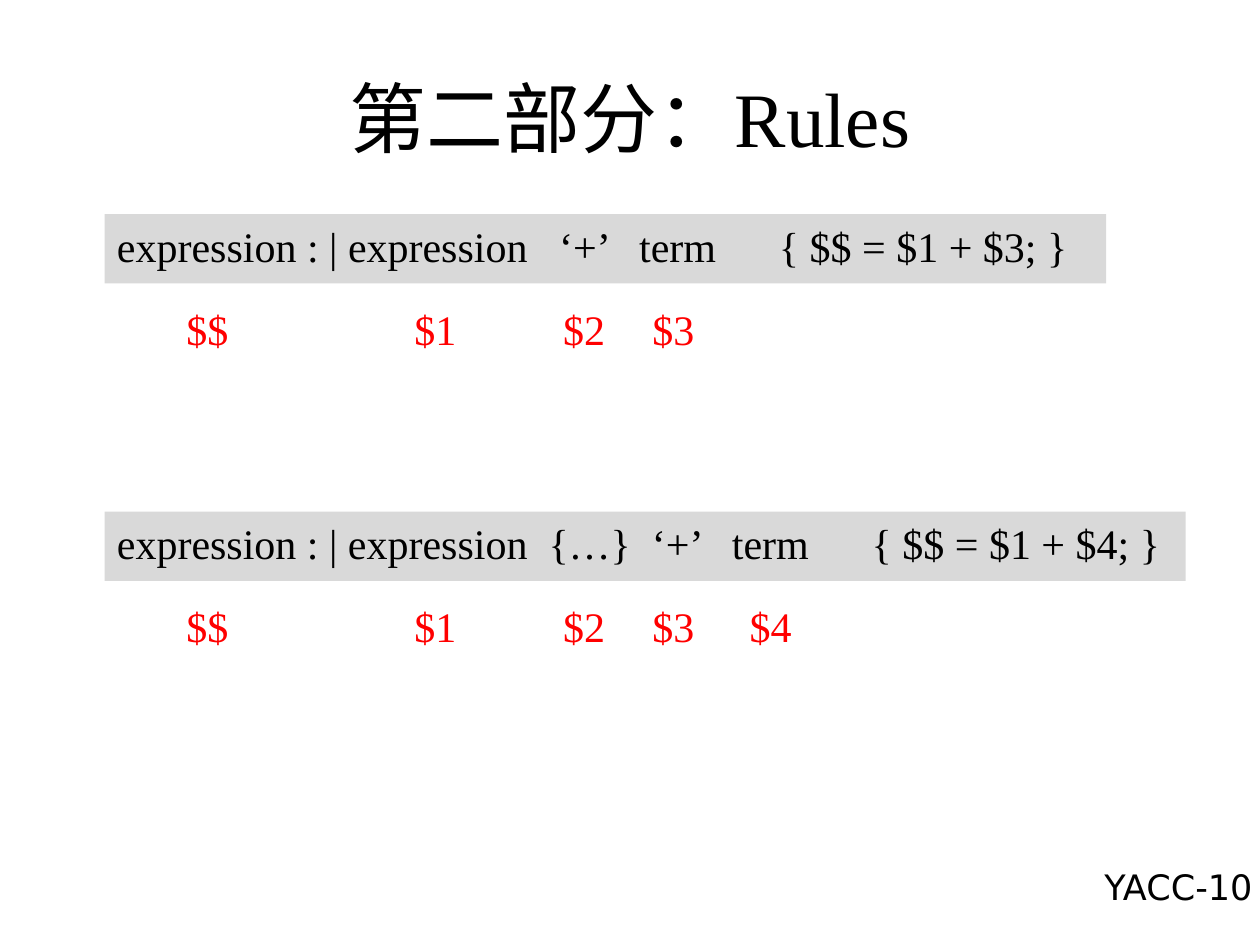
import pptx
import pptx.dml.color
import pptx.enum.shapes
import pptx.enum.text
import pptx.util

Inches = pptx.util.Inches
Align = pptx.enum.text.PP_ALIGN
Anchor = pptx.enum.text.MSO_ANCHOR

SERIF = "Times New Roman"
SANS = "DejaVu Sans"
BLACK, RED, GRAY = "000000", "FF0000", "D9D9D9"

# Content: each rule with its bar width and the value symbols under it
TITLE = "第二部分：Rules"
PAGE_LABEL = "YACC-10"
RULES = [
    {
        "code": "expression : | expression   ‘+’   term      { $$ = $1 + $3; }",
        "top": 1.7,
        "bar_width": 7.95,
        "text_width": 7.95,
        "symbols": ["$$", "$1", "$2", "$3"],
    },
    {
        "code": "expression : | expression  {…}  ‘+’   term      { $$ = $1 + $4; }",
        "top": 4.06,
        "bar_width": 8.58,
        "text_width": 8.67,
        "symbols": ["$$", "$1", "$2", "$3", "$4"],
    },
]

# Layout
RULE_LEFT = 0.83
BAR_HEIGHT = 0.55
TEXT_HEIGHT = 0.5
SYMBOL_WIDTH = 0.55
SYMBOL_DROP = 0.66
SYMBOL_LEFTS = [1.38, 3.19, 4.37, 5.08, 5.85]


def color(hex_value):
    return pptx.dml.color.RGBColor.from_string(hex_value)


def add_text(slide, text, left, top, width, height, size=24, font=SERIF,
             fill=BLACK, align=Align.LEFT, anchor=Anchor.TOP, wrap=True):
    box = slide.shapes.add_textbox(
        Inches(left), Inches(top), Inches(width), Inches(height))
    frame = box.text_frame
    frame.word_wrap = wrap
    frame.vertical_anchor = anchor
    paragraph = frame.paragraphs[0]
    paragraph.alignment = align
    run = paragraph.add_run()
    run.text = text
    run.font.size = pptx.util.Pt(size)
    run.font.name = font
    run.font.color.rgb = color(fill)


def add_bar(slide, top, width):
    bar = slide.shapes.add_shape(
        pptx.enum.shapes.MSO_SHAPE.RECTANGLE,
        Inches(RULE_LEFT), Inches(top), Inches(width), Inches(BAR_HEIGHT))
    bar.shadow.inherit = False
    bar.fill.solid()
    bar.fill.fore_color.rgb = color(GRAY)
    bar.line.fill.background()


def add_rule(slide, rule):
    top = rule["top"]
    add_bar(slide, top, rule["bar_width"])
    add_text(slide, rule["code"], RULE_LEFT, top, rule["text_width"], TEXT_HEIGHT)
    for symbol, left in zip(rule["symbols"], SYMBOL_LEFTS):
        add_text(slide, symbol, left, top + SYMBOL_DROP,
                 SYMBOL_WIDTH, TEXT_HEIGHT, fill=RED)


def main():
    presentation = pptx.Presentation()
    presentation.slide_width = Inches(10)
    presentation.slide_height = Inches(7.5)
    slide = presentation.slides.add_slide(presentation.slide_layouts[6])

    # Page label and title
    add_text(slide, PAGE_LABEL, 7.73, 6.82, 2.31, 0.51, size=20, font=SANS,
             align=Align.RIGHT, wrap=False)
    add_text(slide, TITLE, 0.5, 0.3, 9, 1.25, size=44,
             align=Align.CENTER, anchor=Anchor.MIDDLE)

    # Grammar rules with their value symbols
    for rule in RULES:
        add_rule(slide, rule)

    presentation.save("out.pptx")


if __name__ == "__main__":
    main()
